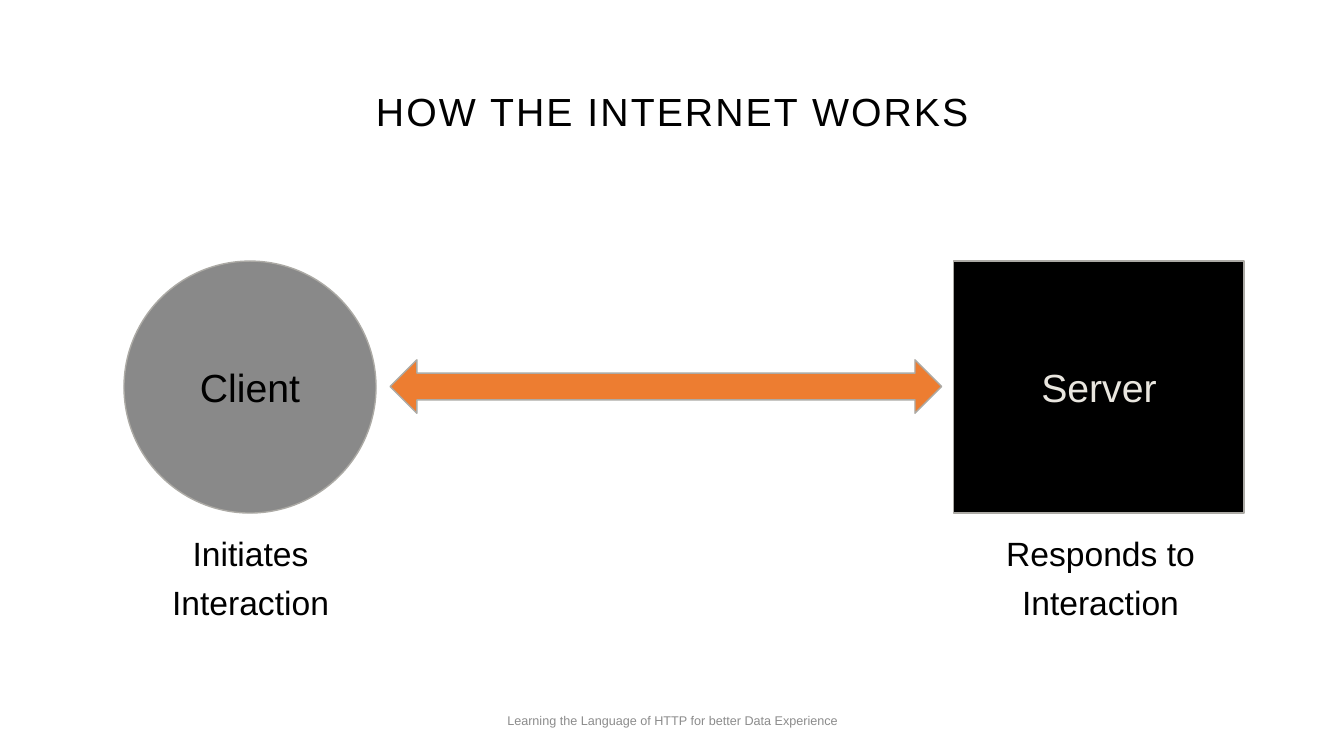
"""Build a slide showing how a client and a server interact."""
from dataclasses import dataclass
from typing import Optional

from pptx import Presentation
from pptx.dml.color import RGBColor
from pptx.enum.shapes import MSO_SHAPE
from pptx.enum.text import MSO_ANCHOR, PP_ALIGN
from pptx.util import Inches, Pt

CIRCLE = MSO_SHAPE.FLOWCHART_CONNECTOR
BOX = MSO_SHAPE.FLOWCHART_PROCESS
ARROW = MSO_SHAPE.LEFT_RIGHT_ARROW
MIDDLE, TOP = MSO_ANCHOR.MIDDLE, MSO_ANCHOR.TOP
CENTER = PP_ALIGN.CENTER

FONT = "Arial"
COLORS = {
    "black": "000000",
    "gray": "898989",
    "outline": "ACAAA5",
    "cream": "E9E6DF",
    "orange": "ED7D31",
    "footer": "8C8C8C",
}
NODE_TOP, NODE_HEIGHT = 2.59, 2.5
CAPTION_TOP = 5.24


@dataclass
class Label:
    left: float
    top: float
    width: float
    height: float
    text: str
    size: float
    color: str = "black"
    anchor: MSO_ANCHOR = MIDDLE
    space_after: float = 0
    line_spacing: float = 1.0
    tracking: Optional[int] = None


@dataclass
class Node:
    kind: MSO_SHAPE
    left: float
    top: float
    width: float
    height: float
    fill: str
    text: str = ""
    color: str = "black"


LABELS = [
    Label(0.92, 0.4, 11.5, 1.45, "HOW THE INTERNET WORKS", 28,
          line_spacing=0.9, tracking=150),
    Label(1.42, CAPTION_TOP, 2.13, 0.99, "Initiates\nInteraction", 24,
          anchor=TOP, space_after=6),
    Label(9.85, CAPTION_TOP, 2.13, 0.99, "Responds to\nInteraction", 24,
          anchor=TOP, space_after=6),
    Label(4.42, 6.95, 4.5, 0.4,
          "Learning the Language of HTTP for better Data Experience", 9, "footer"),
]
NODES = [
    Node(CIRCLE, 1.23, NODE_TOP, 2.5, NODE_HEIGHT, "gray", "Client"),
    Node(BOX, 9.46, NODE_TOP, 2.88, NODE_HEIGHT, "black", "Server", "cream"),
    Node(ARROW, 3.87, 3.57, 5.47, 0.53, "orange"),
]


def rgb(name: str) -> RGBColor:
    return RGBColor.from_string(COLORS[name])


def style_paragraph(p, size: float, color: str) -> None:
    p.alignment = CENTER
    p.font.name = FONT
    p.font.size = Pt(size)
    p.font.color.rgb = rgb(color)


def add_label(slide, label: Label) -> None:
    s = slide.shapes.add_textbox(Inches(label.left), Inches(label.top),
                                 Inches(label.width), Inches(label.height))
    tf = s.text_frame
    tf.word_wrap = True
    tf.vertical_anchor = label.anchor
    tf.text = label.text
    for p in tf.paragraphs:
        style_paragraph(p, label.size, label.color)
        p.space_after = Pt(label.space_after)
        p.line_spacing = label.line_spacing
        if label.tracking is not None:
            for r in p.runs:
                r.font._element.set("spc", str(label.tracking))


def add_node(slide, node: Node) -> None:
    s = slide.shapes.add_shape(node.kind, Inches(node.left), Inches(node.top),
                               Inches(node.width), Inches(node.height))
    s.shadow.inherit = False
    s.fill.solid()
    s.fill.fore_color.rgb = rgb(node.fill)
    s.line.color.rgb = rgb("outline")
    s.line.width = Pt(1)
    if node.text:
        tf = s.text_frame
        tf.vertical_anchor = MIDDLE
        tf.text = node.text
        style_paragraph(tf.paragraphs[0], 28, node.color)


def main() -> None:
    prs = Presentation()
    prs.slide_width, prs.slide_height = Inches(13.33), Inches(7.5)
    slide = prs.slides.add_slide(prs.slide_layouts[6])
    for node in NODES:
        add_node(slide, node)
    for label in LABELS:
        add_label(slide, label)
    prs.save("out.pptx")


if __name__ == "__main__":
    main()
